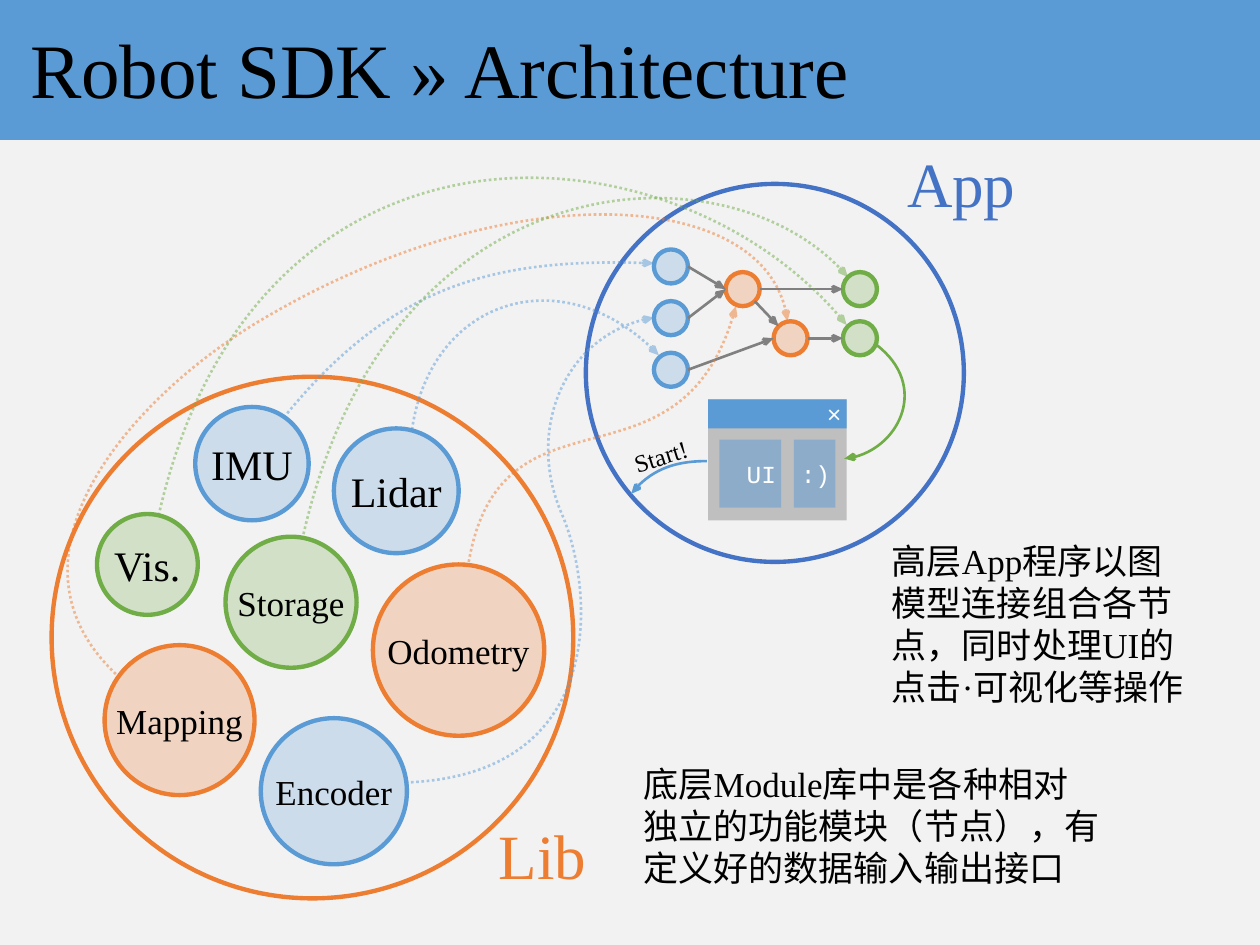
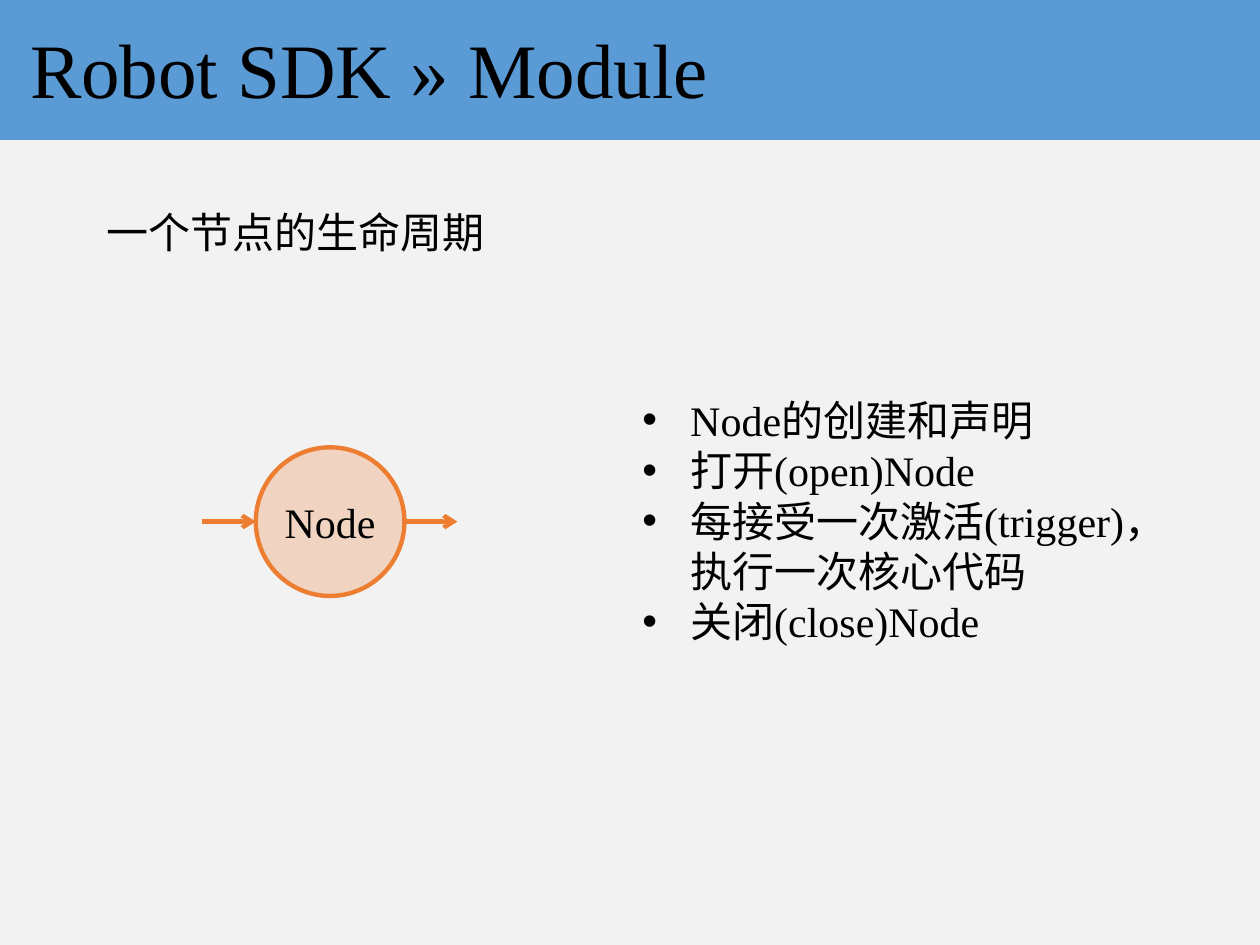
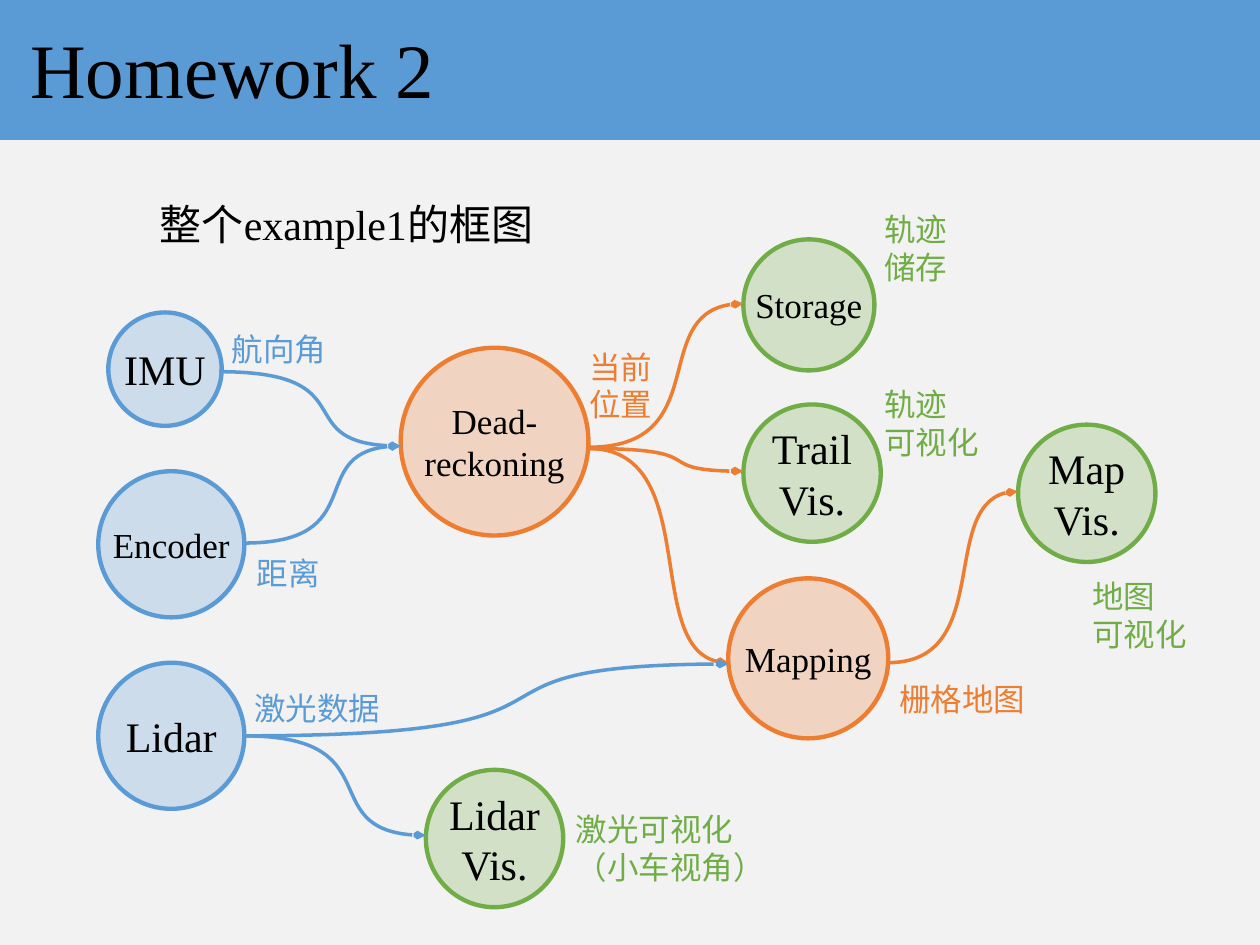
from dataclasses import dataclass
from math import cos, radians, sin

from lxml import etree
from pptx import Presentation
from pptx import util as u
from pptx.dml.color import RGBColor
from pptx.enum import dml, shapes, text
from pptx.oxml.ns import qn

BLUE = RGBColor(0x5B, 0x9B, 0xD5)
ORANGE = RGBColor(0xED, 0x7D, 0x31)
GREEN = RGBColor(0x70, 0xAD, 0x47)
NAVY = RGBColor(0x44, 0x72, 0xC4)
GRAY = RGBColor(0x80, 0x80, 0x80)
SILVER = RGBColor(0xBF, 0xBF, 0xBF)
PAPER = RGBColor(0xF2, 0xF2, 0xF2)
BLACK = RGBColor(0, 0, 0)
WHITE = RGBColor(0xFF, 0xFF, 0xFF)
SERIF, MONO = "Times New Roman", "Courier New"
DEFAULT_INSETS = (0.1, 0.05, 0.1, 0.05)
WINDOW_INSETS = (0, 0, 0.04, 0)
Point = tuple[float, float]


@dataclass
class Circle:
    label: str
    left: float
    top: float
    size: float
    color: RGBColor
    points: float = 24
    opacity: int = 25

    def rim(self, angle: float) -> Point:
        radius = self.size / 2
        turn = radians(angle)
        return (self.left + radius * (1 + cos(turn)),
                self.top + radius * (1 + sin(turn)))


@dataclass
class Caption:
    words: str
    left: float
    top: float
    width: float
    height: float
    points: float = 24
    color: RGBColor = BLACK
    wrap: bool = True
    bullets: bool = False
    rotation: float = 0


@dataclass
class Panel:
    words: str
    left: float
    top: float
    width: float
    height: float
    color: RGBColor
    opacity: int = 100
    anchor: text.MSO_ANCHOR = text.MSO_ANCHOR.MIDDLE


@dataclass
class Curve:
    knots: list[Point]
    color: RGBColor
    weight: float = 1.5
    dotted: bool = False


@dataclass
class Link:
    source: Circle
    target: Circle
    leave: float = 0
    arrive: float = 180


def write(frame, words: str, points: float, color: RGBColor, font: str = SERIF,
          align=text.PP_ALIGN.LEFT, insets=DEFAULT_INSETS) -> None:
    (frame.margin_left, frame.margin_top,
     frame.margin_right, frame.margin_bottom) = map(u.Inches, insets)
    for index, line in enumerate(words.split("\n")):
        para = frame.add_paragraph() if index else frame.paragraphs[0]
        para.alignment = align
        span = para.add_run()
        span.text = line
        span.font.size = u.Pt(points)
        span.font.name = font
        span.font.color.rgb = color


def fade(holder, opacity: int) -> None:
    color = holder.find(qn("a:solidFill"))[0]
    etree.SubElement(color, qn("a:alpha"), val=str(opacity * 1000))


def add_arrowhead(shape, width: str, length: str) -> None:
    etree.SubElement(shape.line._get_or_add_ln(), qn("a:tailEnd"),
                     type="arrow", w=width, len=length)


def add_filled(page, kind, left: float, top: float, width: float, height: float,
               color: RGBColor, opacity: int = 100):
    shape = page.shapes.add_shape(kind, *map(u.Inches, (left, top, width, height)))
    shape.shadow.inherit = False
    shape.line.fill.background()
    if opacity:
        shape.fill.solid()
        shape.fill.fore_color.rgb = color
        if opacity < 100:
            fade(shape._element.spPr, opacity)
    else:
        shape.fill.background()
    return shape


def add_circle(page, circle: Circle) -> None:
    shape = add_filled(page, shapes.MSO_SHAPE.OVAL, circle.left, circle.top,
                       circle.size, circle.size, circle.color, circle.opacity)
    shape.line.color.rgb = circle.color
    shape.line.width = u.Pt(2.5)
    if circle.label:
        frame = shape.text_frame
        frame.word_wrap = False
        frame.vertical_anchor = text.MSO_ANCHOR.MIDDLE
        write(frame, circle.label, circle.points, BLACK, align=text.PP_ALIGN.CENTER)


def add_caption(page, caption: Caption) -> None:
    box = page.shapes.add_textbox(*map(u.Inches, (
        caption.left, caption.top, caption.width, caption.height)))
    box.rotation = caption.rotation
    frame = box.text_frame
    frame.word_wrap = caption.wrap
    frame.auto_size = text.MSO_AUTO_SIZE.SHAPE_TO_FIT_TEXT
    write(frame, caption.words, caption.points, caption.color)
    if caption.bullets:
        for para in frame.paragraphs:
            properties = para._p.get_or_add_pPr()
            indent = u.Inches(0.38)
            properties.set("marL", str(indent))
            properties.set("indent", str(-indent))
            etree.SubElement(properties, qn("a:buFont"), typeface="Arial")
            etree.SubElement(properties, qn("a:buChar"), char="•")


def add_panel(page, panel: Panel) -> None:
    shape = add_filled(page, shapes.MSO_SHAPE.RECTANGLE, panel.left, panel.top,
                       panel.width, panel.height, panel.color, panel.opacity)
    if panel.words:
        frame = shape.text_frame
        frame.word_wrap = False
        frame.vertical_anchor = panel.anchor
        write(frame, panel.words, 14, WHITE, MONO, text.PP_ALIGN.RIGHT, WINDOW_INSETS)


def add_line(page, start: Point, end: Point, color: RGBColor, weight: float,
             head_width: str = "med") -> None:
    line = page.shapes.add_connector(shapes.MSO_CONNECTOR.STRAIGHT,
                                     *map(u.Inches, (*start, *end)))
    line.line.color.rgb = color
    line.line.width = u.Pt(weight)
    add_arrowhead(line, head_width, "med")
    etree.SubElement(line._element.spPr, qn("a:effectLst"))


def bezier(knots: list[Point], share: float) -> Point:
    rest = 1 - share
    weights = (rest ** 3, 3 * rest ** 2 * share, 3 * rest * share ** 2, share ** 3)
    x, y = (sum(weight * value for weight, value in zip(weights, axis))
            for axis in zip(*knots))
    return x, y


def add_curve(page, curve: Curve) -> None:
    starts = range(0, len(curve.knots) - 1, 3)
    samples = [bezier(curve.knots[start:start + 4], step / 40)
               for start in starts for step in range(1, 41)]
    builder = page.shapes.build_freeform(*map(u.Inches, curve.knots[0]))
    builder.add_line_segments([(u.Inches(x), u.Inches(y)) for x, y in samples],
                              close=False)
    shape = builder.convert_to_shape()
    outline = shape._element.spPr.find(".//" + qn("a:path"))
    for segment in outline.findall(qn("a:lnTo")):
        outline.remove(segment)
    for start in starts:
        arc = etree.SubElement(outline, qn("a:cubicBezTo"))
        for x, y in curve.knots[start + 1:start + 4]:
            etree.SubElement(arc, qn("a:pt"), x=str(u.Inches(x) - shape.left),
                             y=str(u.Inches(y) - shape.top))
    shape.shadow.inherit = False
    shape.fill.background()
    shape.line.color.rgb = curve.color
    shape.line.width = u.Pt(curve.weight)
    if curve.dotted:
        shape.line.dash_style = dml.MSO_LINE.ROUND_DOT
        fade(shape.line._get_or_add_ln(), 50)
    add_arrowhead(shape, "sm", "med")


def flow(start: Point, end: Point, color: RGBColor) -> Curve:
    width = end[0] - start[0]
    return Curve([start, (start[0] + 0.81 * width, start[1]),
                  (start[0] + 0.35 * width, end[1]), end], color, 2)


def add_page(deck, title: str):
    page = deck.slides.add_slide(deck.slide_layouts[6])
    page.background.fill.solid()
    page.background.fill.fore_color.rgb = PAPER
    band = add_filled(page, shapes.MSO_SHAPE.RECTANGLE, 0, 0, 10, 1.11, BLUE)
    band.text_frame.vertical_anchor = text.MSO_ANCHOR.MIDDLE
    write(band.text_frame, title, 44, BLACK, insets=(0.24, 0.1, 0.1, 0.04))
    band.text_frame.paragraphs[0].line_spacing = 0.9
    return page


def build_architecture(deck) -> None:
    page = add_page(deck, "Robot SDK » Architecture")
    sensors = [Circle("", 5.19, 1.98 + 0.41 * row, 0.27, BLUE) for row in range(3)]
    upper, lower = (Circle("", left, top, 0.27, ORANGE)
                    for left, top in ((5.76, 2.16), (6.14, 2.55)))
    outputs = [Circle("", 6.69, top, 0.27, GREEN) for top in (2.16, 2.55)]
    circles = [
        Circle("", 0.41, 2.99, 4.14, ORANGE, opacity=0),
        Circle("", 4.65, 1.46, 3, NAVY, opacity=0),
        Circle("IMU", 1.55, 3.23, 0.9, BLUE),
        Circle("Encoder", 2.07, 5.7, 1.16, BLUE, 20),
        Circle("Lidar", 2.65, 3.4, 0.99, BLUE),
        Circle("Mapping", 0.83, 5.12, 1.19, ORANGE, 20),
        Circle("Odometry", 2.96, 4.48, 1.36, ORANGE, 20),
        Circle("Vis.", 0.77, 4.08, 0.8, GREEN),
        Circle("Storage", 1.79, 4.26, 1.04, GREEN, 20),
        *sensors, upper, lower, *outputs,
    ]
    links = [
        Link(sensors[0], upper), Link(sensors[1], upper), Link(sensors[2], lower),
        Link(upper, lower, 45, 225), Link(lower, outputs[1]), Link(upper, outputs[0]),
    ]
    module_curves = [
        ([(2.28, 3.28), (3.12, 2.26), (3.97, 2.04), (5.19, 2.09)], BLUE),
        ([(3.72, 4.46), (3.98, 2.98), (5.42, 4.02), (5.84, 2.43)], ORANGE),
        ([(3.22, 6.21), (4.85, 6.15), (4.71, 4.66), (4.46, 4.08),
          (4.18, 3.44), (4.48, 2.64), (5.19, 2.52)], BLUE),
        ([(0.92, 5.35), (-0.07, 4.41), (1.05, 3.14), (2.09, 2.53),
          (4.04, 1.38), (6.13, 1.5), (6.25, 2.55)], ORANGE),
        ([(3.27, 3.41), (3.42, 2.38), (4.49, 2.04), (5.23, 2.82)], BLUE),
        ([(2.4, 4.28), (3.07, 1.26), (5.82, 1.12), (6.73, 2.2)], GREEN),
        ([(1.26, 4.09), (2.02, 0.73), (5.39, 0.93), (6.72, 2.58)], GREEN),
    ]
    window = [
        Panel("", 5.62, 3.17, 1.1, 0.96, SILVER),
        Panel("×", 5.62, 3.17, 1.1, 0.23, BLUE, anchor=text.MSO_ANCHOR.TOP),
        Panel("UI", 5.71, 3.49, 0.49, 0.54, BLUE, 50),
        Panel(":)", 6.3, 3.49, 0.33, 0.54, BLUE, 50),
    ]
    window_curves = [
        Curve([(6.96, 2.74), (7.37, 3.06), (7.11, 3.61), (6.7, 3.64)], GREEN),
        Curve([(5.61, 3.66), (5.41, 3.66), (5.17, 3.71), (5.01, 3.92)], BLUE),
    ]
    captions = [
        Caption("Lib", 3.86, 6.43, 1.01, 0.71, 36, ORANGE),
        Caption("App", 7.1, 1.1, 1.32, 0.71, 36, NAVY),
        Caption("Start!", 4.93, 3.45, 0.64, 0.34, 14, rotation=342.5),
        Caption("底层Module库中是各种相对独立的功能模块（节点），有定义好的数据输入输出接口",
                5.01, 6, 3.84, 1.11, 20),
        Caption("高层App程序以图模型连接组合各节点，同时处理UI的点击·可视化等操作",
                6.98, 4.23, 2.6, 1.45, 20),
    ]
    for circle in circles:
        add_circle(page, circle)
    for link in links:
        add_line(page, link.source.rim(link.leave), link.target.rim(link.arrive),
                 GRAY, 1.5, "sm")
    for knots, color in module_curves:
        add_curve(page, Curve(knots, color, dotted=True))
    for panel in window:
        add_panel(page, panel)
    for curve in window_curves:
        add_curve(page, curve)
    for caption in captions:
        add_caption(page, caption)


def build_module(deck) -> None:
    page = add_page(deck, "Robot SDK » Module")
    add_caption(page, Caption("一个节点的生命周期", 0.75, 1.59, 8.49, 0.5))
    node = Circle("Node", 2.03, 3.55, 1.18, ORANGE)
    add_circle(page, node)
    for left in (1.6, 3.2):
        add_line(page, (left, 4.14), (left + 0.43, 4.14), ORANGE, 2.5)
    steps = ["Node的创建和声明", "打开(open)Node",
             "每接受一次激活(trigger)，执行一次核心代码", "关闭(close)Node"]
    add_caption(page, Caption("\n".join(steps), 5, 3.08, 4.37, 2.12, bullets=True))


def build_homework(deck) -> None:
    page = add_page(deck, "Homework 2")
    circles = [
        Circle("IMU", 0.86, 2.48, 0.9, BLUE),
        Circle("Encoder", 0.78, 3.74, 1.16, BLUE, 20),
        Circle("Dead-\nreckoning", 3.18, 2.76, 1.49, ORANGE, 20),
        Circle("Map\nVis.", 8.08, 3.37, 1.09, GREEN),
        Circle("Storage", 5.9, 1.9, 1.04, GREEN, 20),
        Circle("Lidar", 0.78, 5.26, 1.16, BLUE),
        Circle("Trail\nVis.", 5.9, 3.21, 1.09, GREEN),
        Circle("Lidar\nVis.", 3.38, 6.11, 1.09, GREEN),
        Circle("Mapping", 5.78, 4.59, 1.27, ORANGE, 20),
    ]
    flows = [
        flow((1.74, 2.95), (3.18, 3.54), BLUE),
        flow((1.94, 4.31), (3.18, 3.54), BLUE),
        flow((4.67, 3.55), (5.9, 2.41), ORANGE),
        flow((4.67, 3.56), (5.78, 5.26), ORANGE),
        flow((4.67, 3.56), (5.9, 3.74), ORANGE),
        flow((1.94, 5.84), (5.78, 5.27), BLUE),
        flow((1.94, 5.84), (3.38, 6.63), BLUE),
        flow((7.05, 5.26), (8.08, 3.9), ORANGE),
    ]
    labels = [
        ("当前\n位置", 4.58, 2.71, 0.71, ORANGE),
        ("航向角", 1.74, 2.57, 0.96, BLUE),
        ("距离", 1.94, 4.35, 0.71, BLUE),
        ("激光数据", 1.92, 5.42, 1.21, BLUE),
        ("激光可视化\n（小车视角）", 4.47, 6.38, 1.72, GREEN),
        ("栅格地图", 7.04, 5.35, 1.21, ORANGE),
        ("轨迹\n可视化", 6.92, 3.01, 0.96, GREEN),
        ("轨迹\n储存", 6.92, 1.62, 0.71, GREEN),
        ("地图\n可视化", 8.57, 4.53, 0.96, GREEN),
    ]
    add_caption(page, Caption("整个example1的框图", 1.17, 1.53, 4.42, 0.5))
    for circle in circles:
        add_circle(page, circle)
    for curve in flows:
        add_curve(page, curve)
    for words, left, top, width, color in labels:
        height = 0.71 if "\n" in words else 0.4
        add_caption(page, Caption(words, left, top, width, height, 18, color, wrap=False))


def main() -> None:
    deck = Presentation()
    deck.slide_width, deck.slide_height = u.Inches(10), u.Inches(7.5)
    build_architecture(deck)
    build_module(deck)
    build_homework(deck)
    deck.save("out.pptx")


if __name__ == "__main__":
    main()
